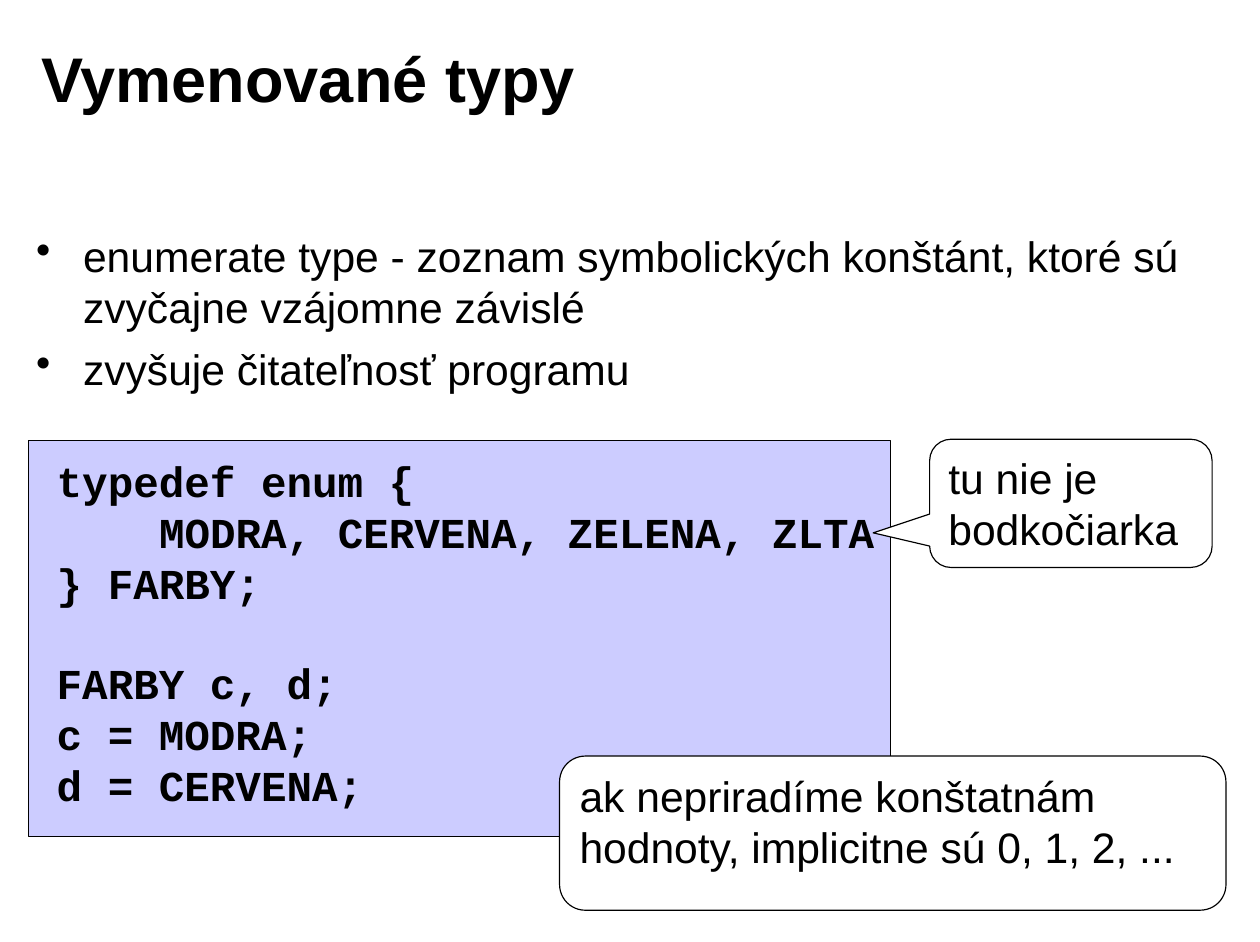
"""Build the slide on enumerated types in C."""
from dataclasses import dataclass

import lxml.etree
import pptx
import pptx.dml.color
import pptx.enum.shapes
import pptx.enum.text
import pptx.oxml.ns
import pptx.util

Cm, Pt = pptx.util.Cm, pptx.util.Pt
MSO_SHAPE = pptx.enum.shapes.MSO_SHAPE
ANCHOR = pptx.enum.text.MSO_ANCHOR
COLORS = {"text": "000000", "line": "000000", "code": "CCCCFF", "callout": "FFFFFF"}


@dataclass
class Box:
    left: float
    top: float
    width: float
    height: float

    def lengths(self) -> tuple:
        return tuple(Cm(v) for v in (self.left, self.top, self.width, self.height))


@dataclass
class Line:
    text: str
    before: float = 0
    indent: float = 0
    bullet: str = ""


@dataclass
class Callout:
    box: Box
    tip: tuple[float, float]
    lines: list[Line]


TITLE_BOX = Box(0.64, 0.43, 22.66, 2.59)
BULLET_BOX = Box(0.53, 5, 27.08, 4.19)
PANEL_BOX = Box(0.64, 9.86, 19.28, 8.86)
CODE_BOX = Box(0.99, 10.03, 18.85, 8.28)
BULLETS = [
    Line(text, before=6.8, indent=1.05, bullet="•")
    for text in (
        "enumerate type - zoznam symbolických konštánt, ktoré sú zvyčajne vzájomne závislé",
        "zvyšuje čitateľnosť programu",
    )
]
CODE = [
    Line("typedef enum {"),
    Line("MODRA, CERVENA, ZELENA, ZLTA", indent=2.29),
    Line("} FARBY;"),
    Line("FARBY c, d;", before=30.6),
    Line("c = MODRA;"),
    Line("d = CERVENA;"),
]
CALLOUTS = [
    Callout(Box(12.52, 16.92, 14.91, 3.45), (-0.15, -0.5),
            [Line("ak nepriradíme konštatnám"), Line("hodnoty, implicitne sú 0, 1, 2, ...")]),
    Callout(Box(20.8, 9.83, 6.32, 2.87), (-0.7, 0.23),
            [Line("tu nie je bodkočiarka")]),
]


def rgb(name: str) -> pptx.dml.color.RGBColor:
    return pptx.dml.color.RGBColor.from_string(COLORS[name])


def write(tf, lines: list[Line], *, font: str = "Arial", size: float = 27,
          bold: bool = False, wrap: bool = True, anchor=ANCHOR.TOP) -> None:
    tf.auto_size = pptx.enum.text.MSO_AUTO_SIZE.NONE
    tf.word_wrap = wrap
    tf.vertical_anchor = anchor
    tf.margin_left = tf.margin_right = Cm(0.28)
    tf.margin_top = tf.margin_bottom = Cm(0.15)
    for i, line in enumerate(lines):
        p = tf.add_paragraph() if i else tf.paragraphs[0]
        p.alignment = pptx.enum.text.PP_ALIGN.LEFT
        p.space_before = Pt(line.before)
        r = p.add_run()
        r.text = line.text
        r.font.name, r.font.size, r.font.bold = font, Pt(size), bold
        r.font.color.rgb = rgb("text")
        pPr = p._p.get_or_add_pPr()
        pPr.set("marL", str(Cm(line.indent)))
        if line.bullet:
            pPr.set("indent", str(-Cm(line.indent)))
            bullet = lxml.etree.SubElement(pPr, pptx.oxml.ns.qn("a:buChar"))
            bullet.set("char", line.bullet)


def add_shape(s, kind, box: Box, fill: str):
    sp = s.shapes.add_shape(kind, *box.lengths())
    sp.shadow.inherit = False
    sp.fill.solid()
    sp.fill.fore_color.rgb = rgb(fill)
    sp.line.color.rgb = rgb("line")
    sp.line.width = Pt(0.75)
    return sp


def add_callout(s, callout: Callout) -> None:
    sp = add_shape(s, MSO_SHAPE.ROUNDED_RECTANGULAR_CALLOUT, callout.box, "callout")
    sp.adjustments[0], sp.adjustments[1] = callout.tip
    write(sp.text_frame, callout.lines)


def main() -> None:
    prs = pptx.Presentation()
    prs.slide_width, prs.slide_height = Cm(28.19), Cm(21.08)
    s = prs.slides.add_slide(prs.slide_layouts[5])
    title = s.shapes.title
    title.left, title.top, title.width, title.height = TITLE_BOX.lengths()
    write(title.text_frame, [Line("Vymenované typy")], size=40, bold=True, anchor=ANCHOR.MIDDLE)
    write(s.shapes.add_textbox(*BULLET_BOX.lengths()).text_frame, BULLETS)
    add_shape(s, MSO_SHAPE.RECTANGLE, PANEL_BOX, "code")
    code = s.shapes.add_textbox(*CODE_BOX.lengths())
    write(code.text_frame, CODE, font="Courier New", bold=True, wrap=False)
    for callout in CALLOUTS:
        add_callout(s, callout)
    prs.save("out.pptx")


if __name__ == "__main__":
    main()
